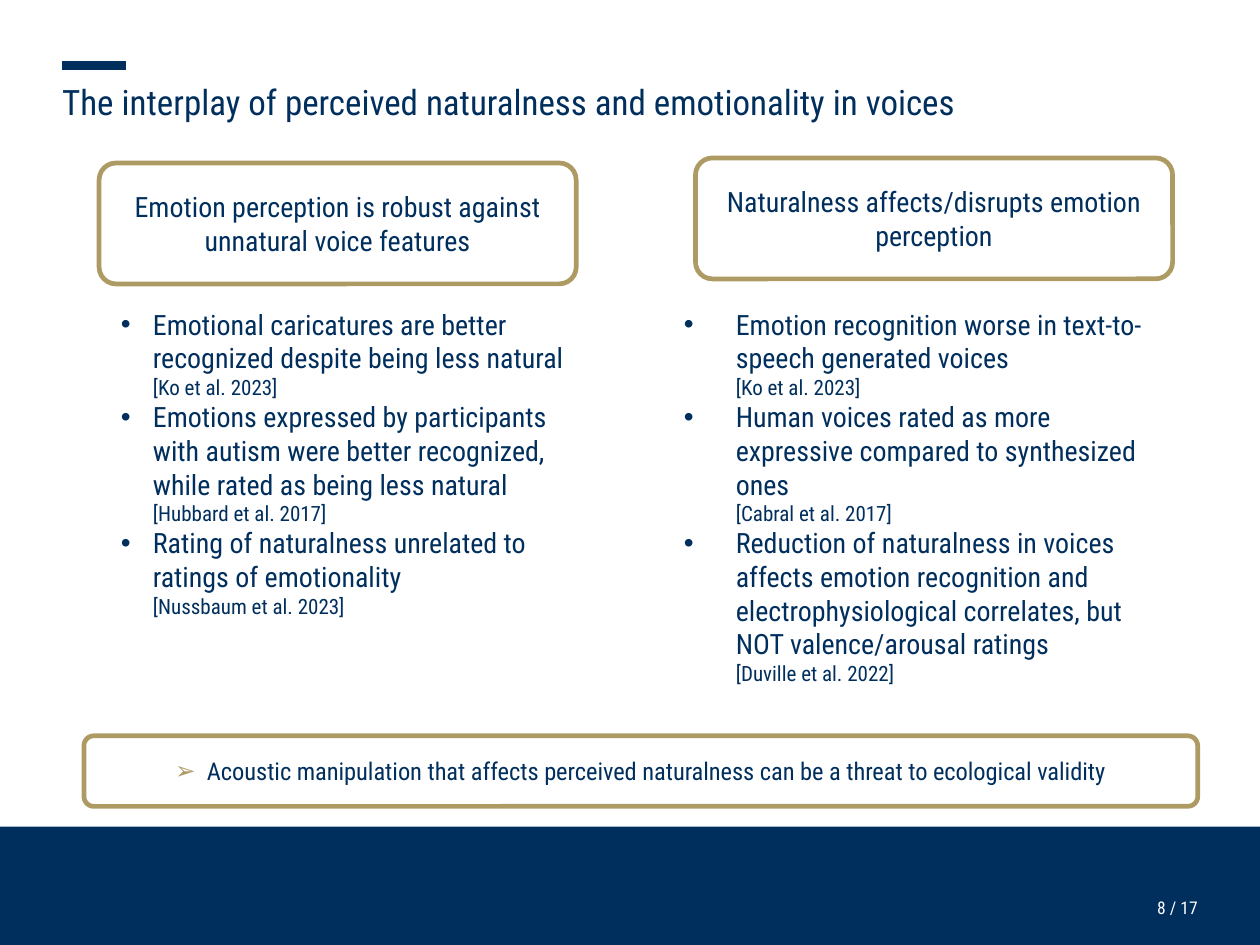
from lxml import etree
from pptx import Presentation
from pptx import util as u
from pptx.dml.color import RGBColor
from pptx.enum import shapes, text
from pptx.oxml.ns import qn

NAVY = RGBColor(0x00, 0x2F, 0x5D)
GOLD = RGBColor(0xAE, 0x9A, 0x63)
WHITE = RGBColor(0xFF, 0xFF, 0xFF)
FONT = "Roboto Condensed"
TWO_CONTENT = 3


def add_text(p, content, size=12, color=NAVY, align=text.PP_ALIGN.LEFT):
    p.alignment = align
    p.line_spacing = 1.0
    p.space_before = p.space_after = u.Pt(0)
    r = p.add_run()
    r.text = content
    r.font.size = u.Pt(size)
    r.font.name = FONT
    r.font.bold = False
    r.font.color.rgb = color


def add_bullet(p, char, indent, color=NAVY):
    pPr = p._p.get_or_add_pPr()
    pPr.set("marL", str(u.Inches(indent)))
    pPr.set("indent", str(-u.Inches(indent)))
    clr = etree.SubElement(pPr, qn("a:buClr"))
    etree.SubElement(clr, qn("a:srgbClr"), val=str(color))
    etree.SubElement(pPr, qn("a:buFont"), typeface="Arial")
    etree.SubElement(pPr, qn("a:buChar"), char=char)


def add_break(p, size):
    p.add_line_break()
    etree.SubElement(p._p[-1], qn("a:rPr"), sz=str(size * 100))


class SlideBuilder:
    def __init__(self, prs):
        self.s = prs.slides.add_slide(prs.slide_layouts[TWO_CONTENT])

    def place(self, sp, box):
        sp.left, sp.top, sp.width, sp.height = (u.Inches(v) for v in box)

    def frame(self, sp, inset=None, anchor=text.MSO_ANCHOR.TOP):
        tf = sp.text_frame
        tf.word_wrap = True
        tf.auto_size = text.MSO_AUTO_SIZE.NONE
        tf.vertical_anchor = anchor
        if inset is not None:
            tf.margin_left = tf.margin_right = u.Inches(inset)
            tf.margin_top = tf.margin_bottom = u.Inches(inset)
        return tf

    def title(self, box, content):
        sp = self.s.shapes.title
        self.place(sp, box)
        add_text(self.frame(sp, 0).paragraphs[0], content, size=15)

    def findings(self, idx, box, indent, items):
        sp = self.s.placeholders[idx]
        self.place(sp, box)
        tf = self.frame(sp)
        for i, (finding, citation) in enumerate(items):
            p = tf.add_paragraph() if i else tf.paragraphs[0]
            add_text(p, finding)
            add_break(p, 12)
            add_text(p, citation, size=9)
            add_bullet(p, "•", indent)

    def shape(self, kind, box, fill, line=None):
        sp = self.s.shapes.add_shape(kind, *(u.Inches(v) for v in box))
        sp.shadow.inherit = False
        sp.fill.solid()
        sp.fill.fore_color.rgb = fill
        if line is None:
            sp.line.fill.background()
        else:
            sp.line.color.rgb = line
            sp.line.width = u.Pt(2)
        return sp

    def bar(self, box):
        self.shape(shapes.MSO_SHAPE.RECTANGLE, box, NAVY)

    def statement(self, box, content, size=12, bullet=None):
        sp = self.shape(shapes.MSO_SHAPE.ROUNDED_RECTANGLE, box, WHITE, GOLD)
        sp.adjustments[0] = 0.14
        p = self.frame(sp, anchor=text.MSO_ANCHOR.MIDDLE).paragraphs[0]
        add_text(p, content, size=size, align=text.PP_ALIGN.CENTER)
        if bullet:
            add_bullet(p, bullet, 0.19, GOLD)

    def rule(self, x1, x2, y):
        c = self.s.shapes.add_connector(
            shapes.MSO_CONNECTOR.STRAIGHT,
            u.Inches(x1), u.Inches(y), u.Inches(x2), u.Inches(y))
        c.line.color.rgb = NAVY
        c.line.width = u.Pt(3.5)
        etree.SubElement(c._element.spPr, qn("a:effectLst"))

    def page_number(self, box, content):
        sp = self.s.shapes.add_textbox(*(u.Inches(v) for v in box))
        add_text(self.frame(sp, 0).paragraphs[0], content, size=7.5,
                 color=WHITE, align=text.PP_ALIGN.RIGHT)


def main():
    prs = Presentation()
    prs.slide_width, prs.slide_height = u.Inches(7.5), u.Pt(405)
    b = SlideBuilder(prs)

    b.bar((0, 4.92, 7.5, 0.71))
    b.page_number((2.89, 5.34, 4.24, 0.17), "8 / 17")
    b.rule(0.37, 0.75, 0.39)
    b.title((0.37, 0.48, 6.64, 0.3),
            "The interplay of perceived naturalness and emotionality in voices")

    b.findings(1, (0.62, 1.78, 2.84, 2.02), 0.19, [
        ("Emotional caricatures are better recognized despite being less natural",
         "[Ko et al. 2023]"),
        ("Emotions expressed by participants with autism were better recognized, "
         "while rated as being less natural", "[Hubbard et al. 2017]"),
        ("Rating of naturalness unrelated to ratings of emotionality",
         "[Nussbaum et al. 2023]"),
    ])
    b.findings(2, (3.97, 1.78, 3.01, 2.37), 0.31, [
        ("Emotion recognition worse in text-to-speech generated voices",
         "[Ko et al. 2023]"),
        ("Human voices rated as more expressive compared to synthesized ones",
         "[Cabral et al. 2017]"),
        ("Reduction of naturalness in voices affects emotion recognition and "
         "electrophysiological correlates, but NOT valence/arousal ratings",
         "[Duville et al. 2022]"),
    ])

    b.statement((0.59, 0.97, 2.84, 0.72),
                "Emotion perception is robust against unnatural voice features")
    b.statement((4.14, 0.94, 2.84, 0.72),
                "Naturalness affects/disrupts emotion perception")
    b.statement((0.5, 4.38, 6.63, 0.42),
                "Acoustic manipulation that affects perceived naturalness "
                "can be a threat to ecological validity",
                size=10.5, bullet="➢")

    prs.save("out.pptx")


if __name__ == "__main__":
    main()
